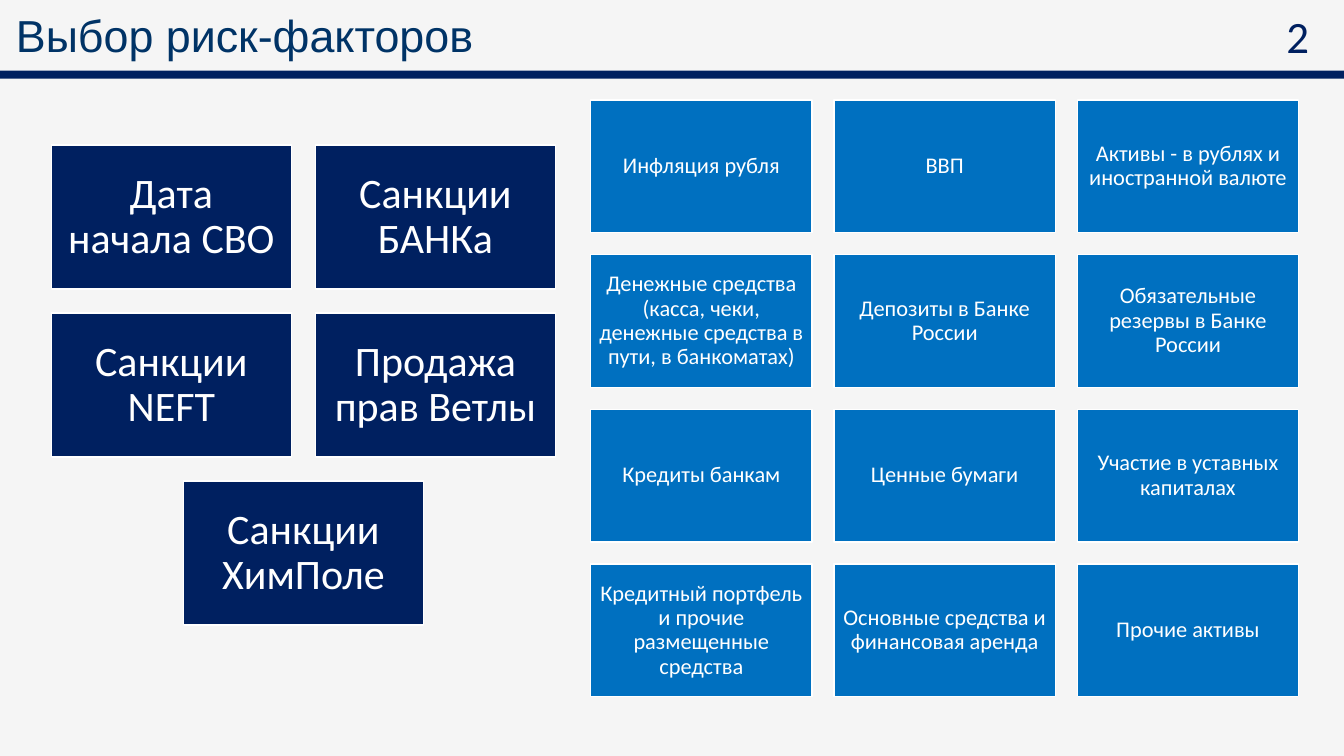
from pptx import Presentation, util as u
from pptx.dml.color import RGBColor
from pptx.enum import shapes, text

W, H = 13.33, 7.5
NAVY, BLUE, WHITE = "002060", "0070C0", "FFFFFF"
TITLE, NUMBER = "Выбор риск-факторов", "2"
EVENTS = ["Дата начала СВО", "Санкции БАНКа", "Санкции NEFT",
          "Продажа прав Ветлы", "Санкции ХимПоле"]
FACTORS = [
    "Инфляция рубля", "ВВП", "Активы - в рублях и иностранной валюте",
    "Денежные средства (касса, чеки, денежные средства в пути, в банкоматах)",
    "Депозиты в Банке России", "Обязательные резервы в Банке России",
    "Кредиты банкам", "Ценные бумаги", "Участие в уставных капиталах",
    "Кредитный портфель и прочие размещенные средства",
    "Основные средства и финансовая аренда", "Прочие активы",
]
GRIDS = [
    dict(items=EVENTS, cols=2, left=0.51, top=1.44, width=5, color=NAVY, size=30, inset=0.12),
    dict(items=FACTORS, cols=3, left=5.86, top=0.99, width=7.02, color=BLUE, size=16, inset=0.07),
]
GAP, ASPECT = 0.1, 0.6  # shares of a card's width


def rgb(value):
    return RGBColor.from_string(value)


def write(sp, content, size, color, font="Calibri", align=None, anchor=None,
          inset=None, spacing=None, wrap=True):
    tf = sp.text_frame
    tf.word_wrap = wrap
    if anchor is not None:
        tf.vertical_anchor = anchor
    if inset is not None:
        tf.margin_left = tf.margin_right = tf.margin_top = tf.margin_bottom = u.Inches(inset)
    p = tf.paragraphs[0]
    p.alignment, p.line_spacing = align, spacing
    r = p.add_run()
    r.text = content
    r.font.size, r.font.name = u.Pt(size), font
    r.font.color.rgb = rgb(color)


def add_box(s, box, fill, line=None):
    sp = s.shapes.add_shape(shapes.MSO_SHAPE.RECTANGLE, *map(u.Inches, box))
    sp.shadow.inherit = False
    sp.fill.solid()
    sp.fill.fore_color.rgb = rgb(fill)
    if line:
        sp.line.color.rgb = rgb(line)
        sp.line.width = u.Pt(1)
    else:
        sp.line.fill.background()
    return sp


def add_cards(s, items, cols, left, top, width, color, size, inset):
    """Lay cards out row by row; a short last row is centred."""
    w = width / (cols + GAP * (cols - 1))
    h, gap = w * ASPECT, w * GAP
    for i, label in enumerate(items):
        row, col = divmod(i, cols)
        missing = max(0, cols * (row + 1) - len(items))
        x = left + (col + missing / 2) * (w + gap)
        card = add_box(s, (x, top + row * (h + gap), w, h), color, WHITE)
        write(card, label, size, WHITE, align=text.PP_ALIGN.CENTER,
              anchor=text.MSO_ANCHOR.MIDDLE, inset=inset, spacing=0.9)


def main():
    prs = Presentation()
    prs.slide_width, prs.slide_height = u.Inches(W), u.Inches(H)
    s = prs.slides.add_slide(prs.slide_layouts[6])
    s.background.fill.solid()
    s.background.fill.fore_color.rgb = rgb("F5F5F5")

    title = s.shapes.add_textbox(*map(u.Inches, (0.06, -0.21, 11.8, 0.88)))
    write(title, TITLE, 32, "003366", font="Arial",
          anchor=text.MSO_ANCHOR.BOTTOM, spacing=0.9)
    add_box(s, (0, 0.7, W, 0.08), NAVY)
    number = s.shapes.add_textbox(*map(u.Inches, (12.66, 0.04, 0.43, 0.64)))
    write(number, NUMBER, 32, NAVY, wrap=False)
    number.text_frame.auto_size = text.MSO_AUTO_SIZE.SHAPE_TO_FIT_TEXT

    for grid in GRIDS:
        add_cards(s, **grid)
    prs.save("out.pptx")


if __name__ == "__main__":
    main()
